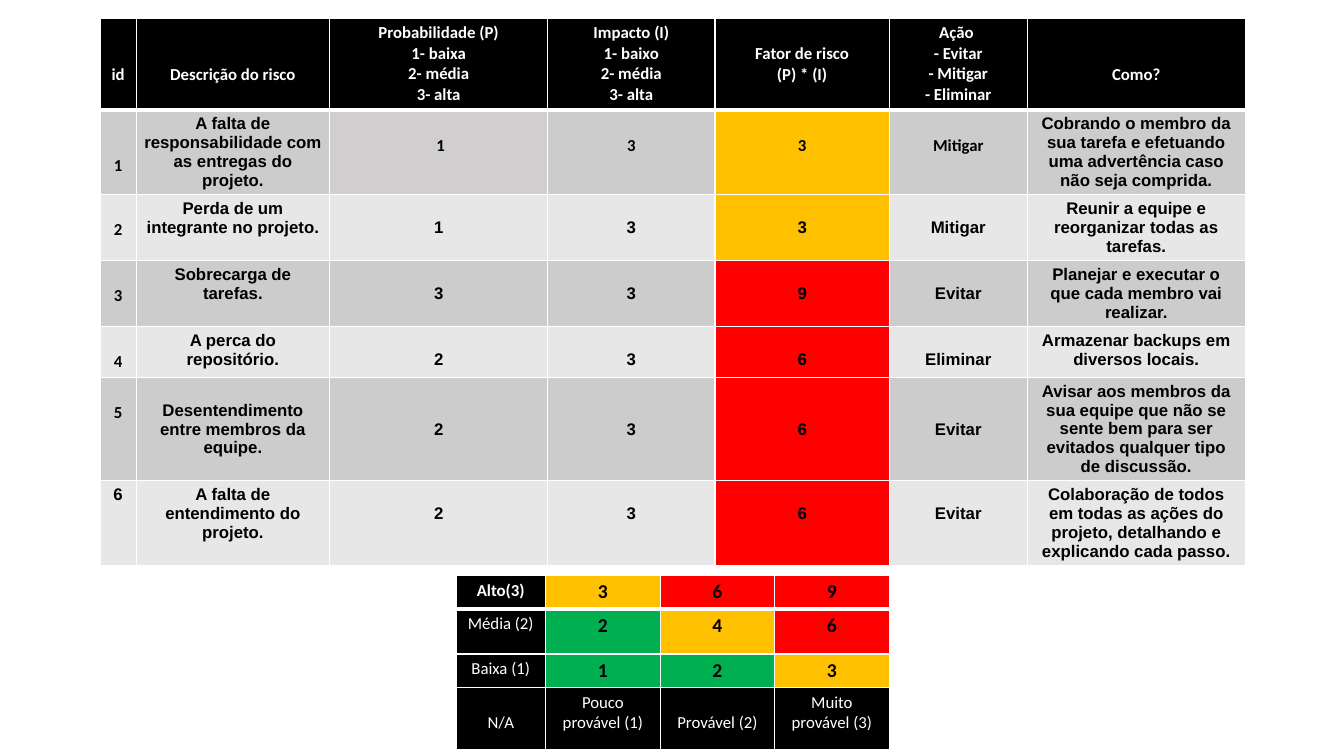
from lxml.etree import SubElement
from pptx import Presentation
from pptx.dml.color import RGBColor
from pptx.enum.text import PP_ALIGN
from pptx.oxml.ns import qn
from pptx.util import Cm, Pt

# Content: each risk row holds its texts, then how many lines each text is lowered
HEADER = (["id", "Descrição do risco",
           "Probabilidade (P)\n1- baixa\n2- média\n3- alta",
           "Impacto (I)\n1- baixo\n2- média\n3- alta",
           "Fator de risco\n(P) * (I)",
           "Ação \n- Evitar\n- Mitigar\n- Eliminar", "Como?"],
          (2, 2, 0, 0, 1, 0, 2))
RISKS = [
    (["1", "A falta de responsabilidade com as entregas do projeto.",
      " 1", "3", "3", "Mitigar",
      "Cobrando o membro da sua tarefa e efetuando uma advertência caso não seja comprida."],
     (2, 0, 1, 1, 1, 1, 0)),
    (["2", "Perda de um integrante no projeto.", "1", "3", "3", "Mitigar",
      "Reunir a equipe e reorganizar todas as tarefas."],
     (1, 0, 1, 1, 1, 1, 0)),
    (["3", "Sobrecarga de tarefas.", "3", "3", "9", "Evitar",
      "Planejar e executar o que cada membro vai realizar."],
     (1, 0, 1, 1, 1, 1, 0)),
    (["4", "A perca do repositório.", "2", "3", "6", "Eliminar",
      "Armazenar backups em diversos locais."],
     (1, 0, 1, 1, 1, 1, 0)),
    (["5", "Desentendimento entre membros da equipe.", "2", "3", "6", "Evitar",
      "Avisar aos membros da sua equipe que não se sente bem para ser evitados "
      "qualquer tipo de discussão."],
     (1, 1, 2, 2, 2, 2, 0)),
    (["6", "A falta de entendimento do projeto.", "2", "3", "6", "Evitar",
      "Colaboração de todos em todas as ações do projeto, detalhando e "
      "explicando cada passo."],
     (0, 0, 1, 1, 1, 1, 0)),
]
IMPACTS = [("Alto(3)", 3), ("Média (2)", 2), ("Baixa (1)", 1)]
LIKELIHOODS = (["N/A", "Pouco provável (1)", "Provável (2)", "Muito provável (3)"],
               (1, 0, 1, 0))

# Layout in centimetres
RISK_PLACE = (2.52, 0.46)
RISK_COLUMNS = [0.91, 4.88, 5.49, 4.22, 4.39, 3.48, 5.49]
RISK_ROWS = [2.08, 2.08, 1.63, 1.63, 1.17, 2.54, 2.08]
MATRIX_PLACE = (11.49, 14.5)
MATRIX_COLUMNS = [2.26, 2.89, 2.88, 2.89]
MATRIX_ROWS = [0.76, 1.14, 0.76, 1.57]
MARGIN_SIDE, MARGIN_EDGE = 0.2, 0.12
LINE_HEIGHT = {"Calibri": 0.52, "Arial": 0.48}

COLORS = {"black": "000000", "white": "FFFFFF", "odd": "CCCCCC", "even": "E7E7E7",
          "warm": "D0CECE", "low": "00B050", "medium": "FFC000", "high": "FF0000"}


def risk_color(factor):
    return "low" if factor < 3 else "medium" if factor < 6 else "high"


def write_text(cell, text, font="Calibri", size=12, bold=True, color="black", lowered=0):
    cell.margin_left = cell.margin_right = Cm(MARGIN_SIDE)
    cell.margin_bottom = Cm(MARGIN_EDGE)
    cell.margin_top = Cm(MARGIN_EDGE + lowered * LINE_HEIGHT[font])
    frame = cell.text_frame
    for index, line in enumerate(text.split("\n")):
        paragraph = frame.add_paragraph() if index else frame.paragraphs[0]
        paragraph.alignment = PP_ALIGN.CENTER
        run = paragraph.add_run()
        run.text = line
        run.font.name = font
        run.font.size = Pt(size)
        run.font.bold = bold
        run.font.color.rgb = RGBColor.from_string(COLORS[color])


def paint_cell(cell, fill, row):
    # Borders come before the fill; the line under the first row is thick
    properties = cell._tc.get_or_add_tcPr()
    widths = {"lnL": 1, "lnR": 1, "lnT": 3 if row == 1 else 1, "lnB": 3 if row == 0 else 1}
    for side, width in widths.items():
        line = SubElement(properties, qn(f"a:{side}"), w=str(Pt(width)))
        solid = SubElement(line, qn("a:solidFill"))
        SubElement(solid, qn("a:srgbClr"), val=COLORS["white"])
    cell.fill.solid()
    cell.fill.fore_color.rgb = RGBColor.from_string(COLORS[fill])


def add_grid(slide, place, columns, rows):
    left, top = place
    table = slide.shapes.add_table(len(rows), len(columns), Cm(left), Cm(top),
                                   Cm(sum(columns)), Cm(sum(rows))).table
    for column, width in zip(table.columns, columns):
        column.width = Cm(width)
    for row, height in zip(table.rows, rows):
        row.height = Cm(height)
    return table


def add_risk_table(slide):
    table = add_grid(slide, RISK_PLACE, RISK_COLUMNS, RISK_ROWS)
    for row, (texts, lowered_lines) in enumerate([HEADER] + RISKS):
        for column, (text, lowered) in enumerate(zip(texts, lowered_lines)):
            cell = table.cell(row, column)
            if row == 0:
                fill = "black"
            elif column == 4:
                fill = risk_color(int(text))
            elif (row, column) == (1, 2):
                fill = "warm"
            else:
                fill = "odd" if row % 2 else "even"
            # Calibri: the header, the ids up to 5 and the short values of risk 1
            calibri = row == 0 or (column == 0 and row < 6) or (row == 1 and 2 <= column <= 5)
            paint_cell(cell, fill, row)
            write_text(cell, text, font="Calibri" if calibri else "Arial",
                       color="black" if row else "white", lowered=lowered)


def add_matrix(slide):
    table = add_grid(slide, MATRIX_PLACE, MATRIX_COLUMNS, MATRIX_ROWS)
    for row, (label, impact) in enumerate(IMPACTS):
        cell = table.cell(row, 0)
        paint_cell(cell, "black", row)
        write_text(cell, label, bold=row == 0, color="white")
        for likelihood in (1, 2, 3):
            factor = impact * likelihood
            cell = table.cell(row, likelihood)
            paint_cell(cell, risk_color(factor), row)
            write_text(cell, str(factor), size=14)
    # Likelihood labels
    last = len(IMPACTS)
    for column, (label, lowered) in enumerate(zip(*LIKELIHOODS)):
        cell = table.cell(last, column)
        paint_cell(cell, "black", last)
        write_text(cell, label, bold=False, color="white", lowered=lowered)


def main():
    presentation = Presentation()
    presentation.slide_width, presentation.slide_height = Cm(33.87), Cm(19.05)
    slide = presentation.slides.add_slide(presentation.slide_layouts[6])
    add_risk_table(slide)
    add_matrix(slide)
    presentation.save("out.pptx")


if __name__ == "__main__":
    main()
